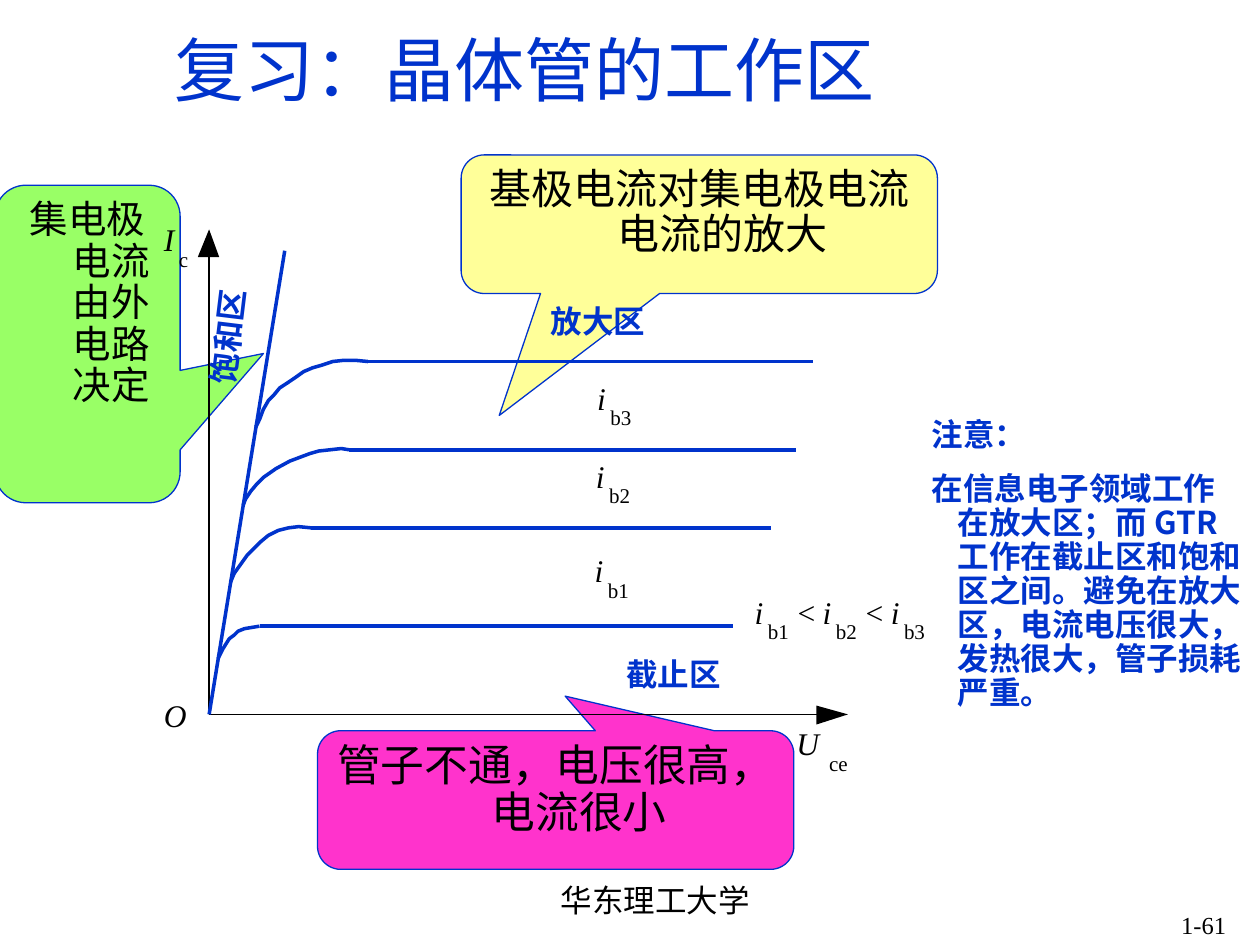
from lxml import etree
from pptx import Presentation
from pptx import util as u
from pptx.dml.color import RGBColor
from pptx.enum import shapes, text
from pptx.oxml.ns import qn

BLUE = RGBColor(0x00, 0x33, 0xCC)
BLACK = RGBColor(0x00, 0x00, 0x00)
WHITE = RGBColor(0xFF, 0xFF, 0xFF)
YELLOW = RGBColor(0xFF, 0xFF, 0x99)
PINK = RGBColor(0xFF, 0x33, 0xCC)
GREEN = RGBColor(0x99, 0xFF, 0x66)
SANS = "Noto Sans CJK SC"
SERIF = "Times New Roman"
COLUMNS = 100  # square cells, so the slide has 75 rows
HANG = 3.75  # columns of hanging indent
ORIGIN = (16.6, 56.7)


class Board:
    """Draws on one slide; all lengths are columns and rows of the grid."""

    def __init__(self, presentation):
        self.cell = presentation.slide_width // COLUMNS
        self.slide = presentation.slides.add_slide(presentation.slide_layouts[6])

    def size(self, *lengths):
        return [round(length * self.cell) for length in lengths]

    def set_text(self, shape, words, size, color=BLACK, font=SANS, align=text.PP_ALIGN.LEFT,
                 bold=False, italic=False, spacing=0.9, hang=0, first=0, before=0,
                 anchor=text.MSO_ANCHOR.TOP, wrap=True, inset=True):
        """Fill a shape; hang indents all lines, first moves the first line from there."""
        frame = shape.text_frame
        frame.text = words
        frame.word_wrap = wrap
        frame.vertical_anchor = anchor
        frame.margin_left = frame.margin_right = u.Inches(0.1 if inset else 0)
        frame.margin_top = frame.margin_bottom = u.Inches(0.05 if inset else 0)
        for index, paragraph in enumerate(frame.paragraphs):
            paragraph.alignment = align
            paragraph.line_spacing = spacing
            paragraph.space_before = u.Pt(before if index else 0)
            properties = paragraph._p.get_or_add_pPr()
            margin, indent = self.size(hang, first)
            properties.set("marL", str(margin))
            properties.set("indent", str(indent))
            for run in paragraph.runs:
                run.font.name, run.font.size = font, u.Pt(size)
                run.font.bold, run.font.italic = bold, italic
                run.font.color.rgb = color
                if font == SANS:
                    etree.SubElement(run._r.rPr, qn("a:ea"), typeface=font)

    def text_box(self, box, words, size, **style):
        shape = self.slide.shapes.add_textbox(*self.size(*box))
        self.set_text(shape, words, size, **style)
        return shape

    def label(self, x, y, words, width, size=18, rotation=0, **style):
        """Tight one-line label without insets."""
        shape = self.text_box((x, y, width, size * 0.15), words, size,
                              wrap=False, inset=False, **style)
        shape.text_frame.auto_size = text.MSO_AUTO_SIZE.SHAPE_TO_FIT_TEXT
        shape.rotation = rotation

    def symbol(self, x, y, letter, subscript="", gap=1.05, width=0.7):
        """Italic letter with an upright subscript gap columns further right."""
        self.label(x, y, letter, width, font=SERIF, italic=True)
        if subscript:
            self.label(x + gap, y + 1.95, subscript, 0.85 * len(subscript), 12, font=SERIF)

    def panel(self, kind, box, fill, words, size, line=None, adjustments=(), **style):
        """Filled preset shape with centred text."""
        shape = self.slide.shapes.add_shape(kind, *self.size(*box))
        shape.shadow.inherit = False
        shape.fill.solid()
        shape.fill.fore_color.rgb = fill
        if line is None:
            shape.line.fill.background()
        else:
            shape.line.color.rgb, shape.line.width = line, u.Pt(0.75)
        for index, value in enumerate(adjustments):
            shape.adjustments[index] = value
        self.set_text(shape, words, size, align=text.PP_ALIGN.CENTER,
                      hang=HANG, first=-HANG, **style)

    def callout(self, box, tip, fill, words, size):
        self.panel(shapes.MSO_SHAPE.ROUNDED_RECTANGULAR_CALLOUT, box, fill, words, size,
                   BLUE, (*tip, 0.167))

    def line(self, start, end, color=BLUE, width=2):
        connector = self.slide.shapes.add_connector(
            shapes.MSO_CONNECTOR.STRAIGHT, *self.size(*start, *end))
        connector.line.color.rgb, connector.line.width = color, u.Pt(width)
        etree.SubElement(connector._element.spPr, qn("a:effectLst"))

    def outline(self, points, close=False):
        """Open blue curve, or a closed black arrowhead."""
        builder = self.slide.shapes.build_freeform(*self.size(*points[0]))
        builder.add_line_segments([self.size(*point) for point in points[1:]], close=close)
        shape = builder.convert_to_shape()
        shape.shadow.inherit = False
        if close:
            shape.fill.solid()
            shape.fill.fore_color.rgb = BLACK
            shape.line.fill.background()
        else:
            shape.fill.background()
            shape.line.color.rgb, shape.line.width = BLUE, u.Pt(2)


# Each curve: the points of its knee, then the column where its flat part ends.
CURVES = [
    ([(17.3, 52.3), (17.7, 51.5), (18.2, 50.7), (18.6, 50.4), (18.9, 50.1),
      (19.4, 49.9), (20, 49.8), (20.6, 49.7)], 58.2),
    ([(18.3, 46.2), (18.6, 45.5), (19.1, 44.8), (19.6, 44.1), (20.2, 43.5),
      (20.7, 43), (21.3, 42.5), (22.1, 42.1), (22.9, 41.9), (23.7, 41.8), (24.7, 41.9)], 61.2),
    ([(19.3, 40.1), (19.5, 39.6), (19.9, 39), (20.4, 38.4), (20.9, 37.9),
      (21.9, 37.2), (23, 36.6), (23.8, 36.3), (24.6, 36), (25.3, 35.8),
      (26.2, 35.7), (27.1, 35.6), (27.7, 35.7)], 63.2),
    ([(20.3, 33.9), (20.6, 33.3), (20.9, 32.5), (21.3, 31.8), (21.7, 31.4),
      (22.2, 30.8), (22.8, 30.4), (23.4, 30), (24.1, 29.5), (24.8, 29.2),
      (25.5, 29), (26.4, 28.7), (27.3, 28.6), (28.2, 28.6), (29.2, 28.7)], 64.5),
]


def main():
    presentation = Presentation()
    presentation.slide_width, presentation.slide_height = u.Inches(10), u.Inches(7.5)
    board = Board(presentation)

    board.panel(shapes.MSO_SHAPE.RECTANGLE, (34.3, 68.2, 35.4, 6.8), WHITE, "华东理工大学", 18,
                anchor=text.MSO_ANCHOR.MIDDLE, wrap=False)
    board.text_box((77.5, 71.7, 20.8, 2.5), "1-61", 14, font=SERIF, spacing=1,
                   align=text.PP_ALIGN.RIGHT)
    board.callout((36.6, 12.3, 37.8, 11), (-0.42, 1.38), YELLOW,
                  "基极电流对集电极电流电流的放大", 24)
    board.callout((25.2, 58, 37.8, 11), (0.02, -0.75), PINK,
                  "管子不通，电压很高，电流很小", 25)
    board.callout((-0.4, 14.7, 14.7, 25.2), (0.95, 0.03), GREEN,
                  "集电极电流由外电路决定", 22)
    board.text_box((12.9, 1.7, 81.7, 7.5), "复习：晶体管的工作区", 40, color=BLUE, font=SERIF,
                   spacing=1, anchor=text.MSO_ANCHOR.MIDDLE)

    board.line(ORIGIN, (64.9, 56.7), BLACK, 1)
    board.outline([(64.8, 56), (67.3, 56.7), (64.8, 57.5)], close=True)
    board.line(ORIGIN, (16.6, 20.2), BLACK, 1)
    board.outline([(15.7, 20.4), (16.6, 18.2), (17.4, 20.4)], close=True)
    board.line(ORIGIN, (22.6, 19.9))
    for knee, end in CURVES:
        board.outline(knee)
        board.line(knee[-1], (end, knee[-1][1]))

    for x, y, region, rotation in [(49.7, 52.3, "截止区", 0), (43.7, 24.3, "放大区", 0),
                                   (14.5, 25.4, "饱和区", 277)]:
        board.label(x, y, region, 7.5, rotation=rotation, color=BLUE, bold=True)

    board.symbol(13, 55.6, "O", width=1.8)
    board.symbol(13, 17.8, "I", "c", gap=1.2, width=0.8)
    board.symbol(63.2, 57.8, "U", "ce", gap=2.6, width=1.8)
    for x, y, name in [(47.4, 30.4, "b3"), (47.3, 36.6, "b2"), (47.2, 44.1, "b1")]:
        board.symbol(x, y, "i", name)
    for index, name in enumerate(["b1", "b2", "b3"]):
        x = 59.9 + 5.4 * index
        board.symbol(x, 47.4, "i", name)
        if index:
            board.label(x - 2, 47.4, "<", 1.4, font=SERIF)

    board.text_box((71.3, 32.8, 28.3, 24.2),
                   "注意：\n在信息电子领域工作在放大区；而GTR工作在截止区和饱和区之间。"
                   "避免在放大区，电流电压很大，发热很大，管子损耗严重。",
                   18, color=BLUE, bold=True, hang=HANG, first=-2.1, before=11.2)
    presentation.save("out.pptx")


if __name__ == "__main__":
    main()
